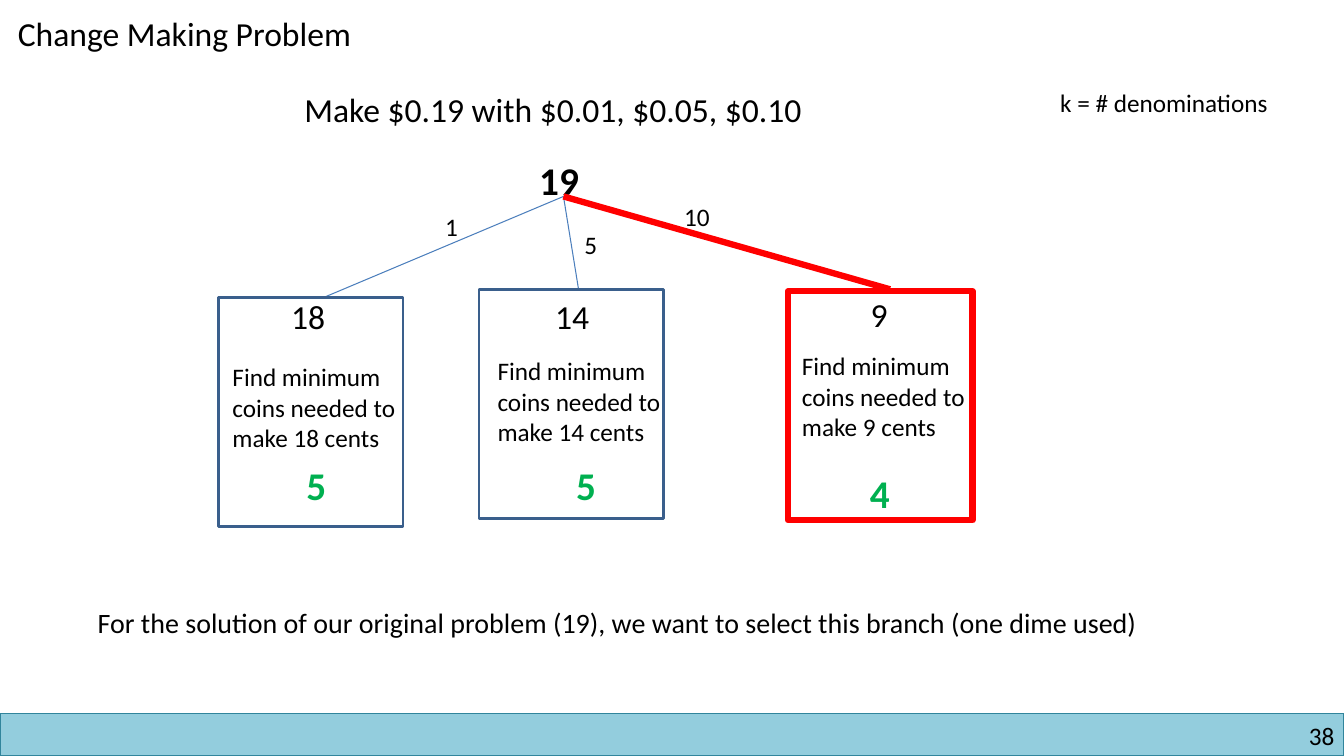
"""Build the change-making slide with its three-branch decision tree."""
from dataclasses import dataclass

from lxml import etree
from pptx import Presentation, util as u
from pptx.dml.color import RGBColor
from pptx.enum import shapes, text
from pptx.oxml.ns import qn
from pptx.slide import Slide

COLOURS = {"ink": "000000", "answer": "00B050", "chosen": "FF0000", "edge": "4B7EBC",
           "card": "3A5F8C", "footer": "93CDDD", "footer_line": "31859C"}
FONT = "Calibri"
SLIDE_WIDTH, SLIDE_HEIGHT = 33.87, 19.05
FOOTER_TOP = 17.98
CARD_WIDTH, CARD_HEIGHT = 4.65, 5.77
ROOT = (14.2, 4.95)


@dataclass(frozen=True)
class Label:
    words: str
    left: float
    top: float
    width: float
    height: float
    size: int = 18
    colour: str = "ink"
    bold: bool = False
    wrap: bool = False


@dataclass(frozen=True)
class Branch:
    coin: str
    coin_at: tuple[float, float]
    coin_width: float
    edge_end: tuple[float, float]
    card_at: tuple[float, float]
    amount: str
    amount_at: tuple[float, float]
    amount_width: float
    task_at: tuple[float, float]
    answer: str
    answer_at: tuple[float, float]
    chosen: bool = False


LABELS = [
    Label("Change Making Problem", 0.2, 0.2, 9.93, 1.27, 24),
    Label("Make $0.19 with $0.01, $0.05, $0.10", 7.42, 2.11, 14.35, 1.27, 24),
    Label("19", 13.34, 3.81, 1.63, 1.45, 28, bold=True),
    Label("k = # denominations", 26.47, 2.08, 6.27, 1.02),
    Label("For the solution of our original problem (19), we want to select "
          "this branch (one dime used)", 2.21, 15.14, 29.03, 1.12, 20),
]
BRANCHES = [
    Branch("1", (10.97, 5.21), 0.86, (8.1, 7.52), (5.51, 7.49), "18", (7.09, 7.34), 1.47,
           (5.61, 8.99), "5", (7.47, 11.51)),
    Branch("5", (14.48, 5.66), 0.86, (14.58, 7.29), (12.07, 7.29), "14", (13.74, 7.32), 1.47,
           (12.29, 8.84), "5", (14.27, 11.51)),
    Branch("10", (16.99, 4.95), 1.22, (22.43, 7.29), (19.86, 7.34), "9", (21.69, 7.29), 0.99,
           (19.96, 8.71), "4", (21.67, 11.71), chosen=True),
]


def rgb(name: str) -> RGBColor:
    return RGBColor.from_string(COLOURS[name])


def add_label(page: Slide, label: Label, right_flush: bool = False) -> None:
    box = page.shapes.add_textbox(u.Cm(label.left), u.Cm(label.top),
                                  u.Cm(label.width), u.Cm(label.height))
    frame = box.text_frame
    frame.word_wrap = label.wrap
    frame.auto_size = text.MSO_AUTO_SIZE.SHAPE_TO_FIT_TEXT
    para = frame.paragraphs[0]
    if right_flush:
        frame.margin_left = frame.margin_right = frame.margin_top = frame.margin_bottom = 0
        para.alignment = text.PP_ALIGN.RIGHT
    span = para.add_run()
    span.text = label.words
    span.font.name = FONT
    span.font.size = u.Pt(label.size)
    span.font.bold = label.bold
    span.font.color.rgb = rgb(label.colour)


def add_rectangle(page: Slide, left: float, top: float, width: float, height: float,
                  line: str, weight: float, fill: str | None = None) -> None:
    rectangle = page.shapes.add_shape(shapes.MSO_SHAPE.RECTANGLE, u.Cm(left), u.Cm(top),
                                      u.Cm(width), u.Cm(height))
    rectangle.shadow.inherit = False
    if fill:
        rectangle.fill.solid()
        rectangle.fill.fore_color.rgb = rgb(fill)
    else:
        rectangle.fill.background()
    rectangle.line.color.rgb = rgb(line)
    rectangle.line.width = u.Pt(weight)


def add_edge(page: Slide, end: tuple[float, float], colour: str, weight: float) -> None:
    edge = page.shapes.add_connector(shapes.MSO_CONNECTOR.STRAIGHT,
                                     *(u.Cm(value) for value in ROOT + end))
    edge.line.color.rgb = rgb(colour)
    edge.line.width = u.Pt(weight)
    etree.SubElement(edge._element.spPr, qn("a:effectLst"))


def add_branch(page: Slide, branch: Branch) -> None:
    edge, card = ("chosen", "chosen") if branch.chosen else ("edge", "card")
    add_edge(page, branch.edge_end, edge, 4.5 if branch.chosen else 0.75)
    add_rectangle(page, *branch.card_at, CARD_WIDTH, CARD_HEIGHT, card,
                  4.5 if branch.chosen else 2)
    task = f"Find minimum coins needed to make {branch.amount} cents"
    add_label(page, Label(branch.coin, *branch.coin_at, branch.coin_width, 1.02))
    add_label(page, Label(branch.amount, *branch.amount_at, branch.amount_width, 1.27, 24))
    add_label(page, Label(task, *branch.task_at, 4.98, 3.33, wrap=True))
    add_label(page, Label(branch.answer, *branch.answer_at, 1.07, 1.45, 28, "answer", bold=True))


def main() -> None:
    deck = Presentation()
    deck.slide_width, deck.slide_height = u.Cm(SLIDE_WIDTH), u.Cm(SLIDE_HEIGHT)
    page = deck.slides.add_slide(deck.slide_layouts[6])
    add_rectangle(page, 0, FOOTER_TOP, SLIDE_WIDTH, SLIDE_HEIGHT - FOOTER_TOP,
                  "footer_line", 1, "footer")
    add_label(page, Label("38", 25.83, 18.16, 7.8, 0.76, wrap=True), right_flush=True)
    for label in LABELS:
        add_label(page, label)
    for branch in BRANCHES:
        add_branch(page, branch)
    deck.save("out.pptx")


if __name__ == "__main__":
    main()
